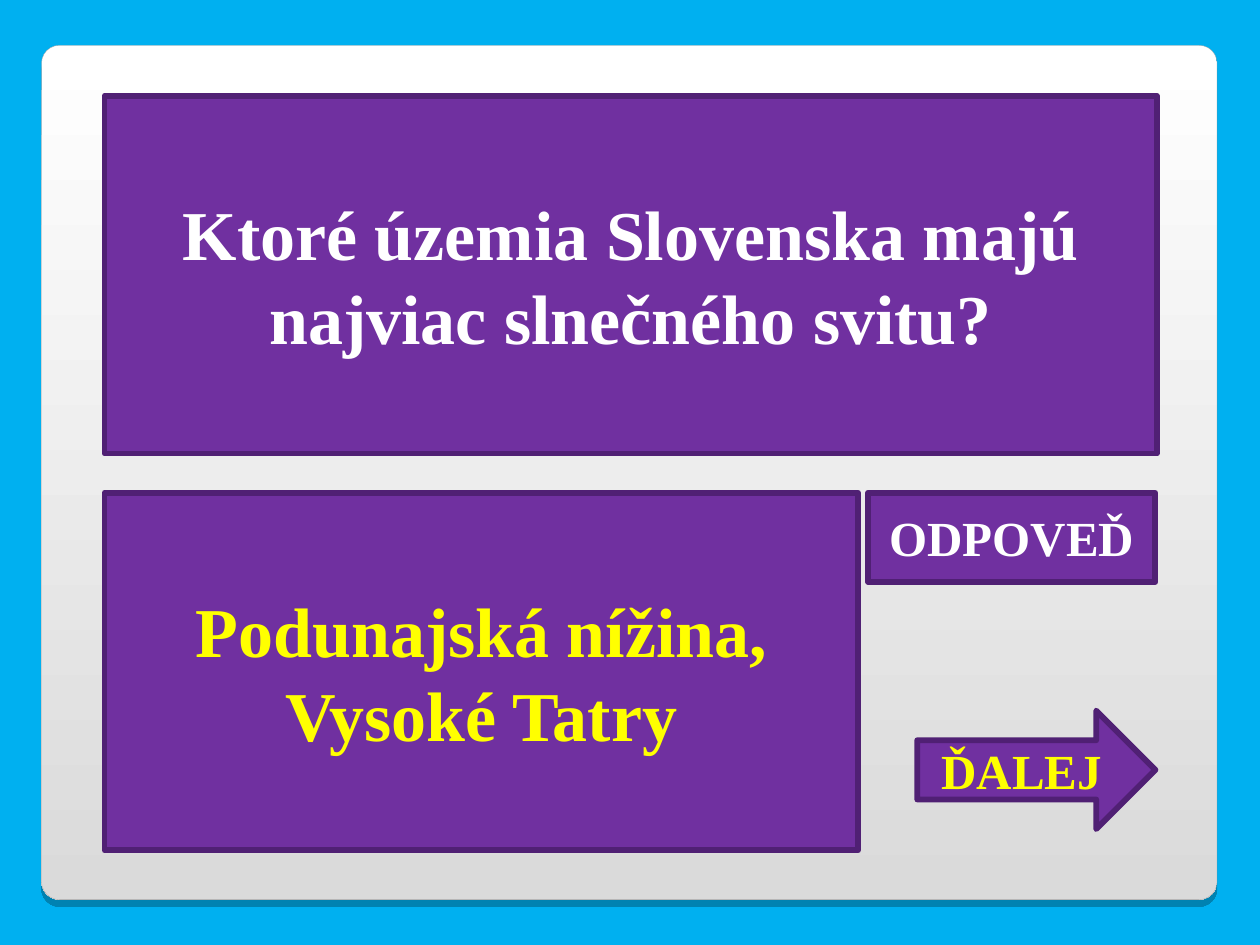
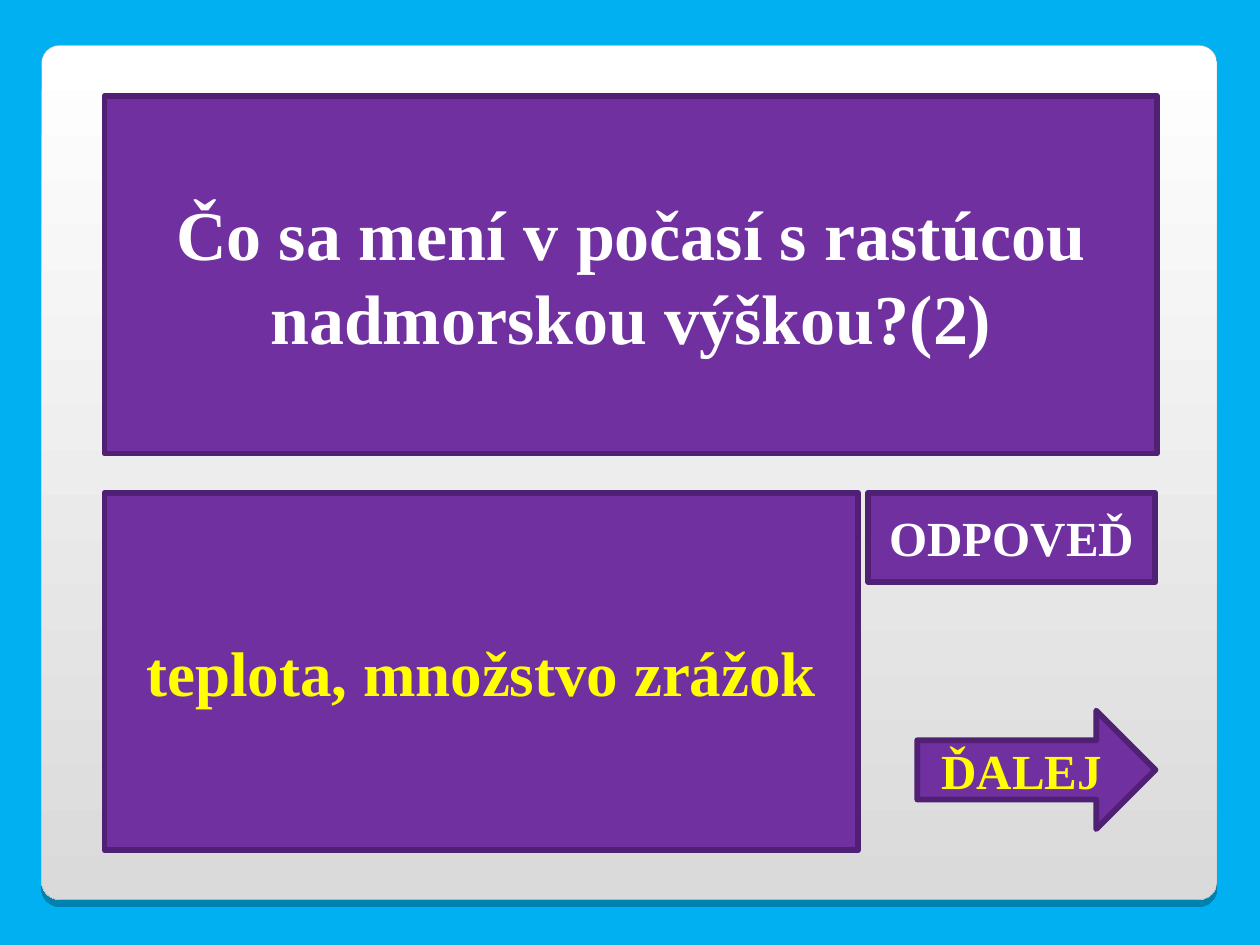
from dataclasses import dataclass

import pptx
import pptx.dml.color
import pptx.enum.shapes
import pptx.enum.text
import pptx.oxml
import pptx.oxml.ns
import pptx.presentation
import pptx.shapes.autoshape
import pptx.slide
import pptx.util

Inches = pptx.util.Inches
Pt = pptx.util.Pt
RGBColor = pptx.dml.color.RGBColor
ShapeType = pptx.enum.shapes.MSO_SHAPE


@dataclass(frozen=True)
class Theme:
    background: RGBColor = RGBColor.from_string("00B0F0")
    panel_top: RGBColor = RGBColor.from_string("FFFFFF")
    panel_bottom: RGBColor = RGBColor.from_string("DADADA")
    panel_line: RGBColor = RGBColor.from_string("A4A3A3")
    box: RGBColor = RGBColor.from_string("7030A0")
    box_line: RGBColor = RGBColor.from_string("502074")
    white: RGBColor = RGBColor.from_string("FFFFFF")
    yellow: RGBColor = RGBColor.from_string("FFFF00")
    font: str = "Times New Roman"
    large: int = 40
    medium: int = 36
    label: int = 28
    box_line_width: float = 3.34
    panel_line_width: float = 0.17


THEME = Theme()


@dataclass(frozen=True)
class Frame:
    left: float
    top: float
    width: float
    height: float

    def lengths(self) -> tuple[int, int, int, int]:
        return (Inches(self.left), Inches(self.top),
                Inches(self.width), Inches(self.height))


@dataclass(frozen=True)
class Button:
    text: str
    frame: Frame
    kind: ShapeType
    color: RGBColor


@dataclass(frozen=True)
class QuizCard:
    question: str
    answer: str
    answer_size: int = THEME.large


PANEL = Frame(0.33, 0.36, 9.33, 6.78)
QUESTION = Frame(0.83, 0.76, 8.35, 2.84)
ANSWER = Frame(0.83, 3.91, 5.98, 2.84)
BUTTONS = [
    Button("ODPOVEĎ", Frame(6.89, 3.91, 2.28, 0.71),
           ShapeType.RECTANGLE, THEME.white),
    Button("ĎALEJ", Frame(7.28, 5.64, 1.89, 0.94),
           ShapeType.RIGHT_ARROW, THEME.yellow),
]
CARDS = [
    QuizCard("Ktoré územia Slovenska majú najviac slnečného svitu?",
             "Podunajská nížina, Vysoké Tatry"),
    QuizCard("Čo sa mení v počasí s rastúcou nadmorskou výškou?(2)",
             "teplota, množstvo zrážok", THEME.medium),
]
PANEL_SHADOW = (
    f'<a:effectLst {pptx.oxml.ns.nsdecls("a")}>'
    f'<a:outerShdw blurRad="0" dist="{Pt(4)}" dir="5400000" rotWithShape="0">'
    '<a:srgbClr val="000000"><a:alpha val="25000"/></a:srgbClr>'
    '</a:outerShdw></a:effectLst>'
)


def style_box(shape: pptx.shapes.autoshape.Shape, text: str,
              size: int, color: RGBColor) -> None:
    shape.fill.solid()
    shape.fill.fore_color.rgb = THEME.box
    shape.line.color.rgb = THEME.box_line
    shape.line.width = Pt(THEME.box_line_width)
    text_frame = shape.text_frame
    text_frame.text = text
    text_frame.word_wrap = True
    text_frame.auto_size = pptx.enum.text.MSO_AUTO_SIZE.NONE
    text_frame.vertical_anchor = pptx.enum.text.MSO_ANCHOR.MIDDLE
    paragraph = text_frame.paragraphs[0]
    paragraph.alignment = pptx.enum.text.PP_ALIGN.CENTER
    paragraph.font.name = THEME.font
    paragraph.font.size = Pt(size)
    paragraph.font.bold = True
    paragraph.font.color.rgb = color


def add_box(slide: pptx.slide.Slide, kind: ShapeType, frame: Frame,
            text: str, size: int, color: RGBColor) -> None:
    shape = slide.shapes.add_shape(kind, *frame.lengths())
    shape.shadow.inherit = False
    style_box(shape, text, size, color)


def add_layout_panel(presentation: pptx.presentation.Presentation,
                     layout: pptx.slide.SlideLayout) -> None:
    """Draw the panel on the first slide, then move it behind the layout."""
    panel = presentation.slides[0].shapes.add_shape(
        ShapeType.ROUNDED_RECTANGLE, *PANEL.lengths())
    panel.adjustments[0] = 0.021
    panel.fill.gradient()
    panel.fill.gradient_angle = 270
    colors = (THEME.panel_top, THEME.panel_bottom)
    for position, (stop, color) in enumerate(zip(panel.fill.gradient_stops, colors)):
        stop.position = position
        stop.color.rgb = color
    panel.line.color.rgb = THEME.panel_line
    panel.line.width = Pt(THEME.panel_line_width)
    panel.element.spPr.append(pptx.oxml.parse_xml(PANEL_SHADOW))
    layout.shapes.element.insert(2, panel.element)


def add_card(presentation: pptx.presentation.Presentation,
             layout: pptx.slide.SlideLayout, card: QuizCard) -> None:
    slide = presentation.slides.add_slide(layout)
    title = slide.shapes.title
    title.left, title.top, title.width, title.height = QUESTION.lengths()
    style_box(title, card.question, THEME.large, THEME.white)
    add_box(slide, ShapeType.RECTANGLE, ANSWER,
            card.answer, card.answer_size, THEME.yellow)
    for button in BUTTONS:
        add_box(slide, button.kind, button.frame,
                button.text, THEME.label, button.color)


def main() -> None:
    presentation = pptx.Presentation()
    presentation.slide_width = Inches(10)
    presentation.slide_height = Inches(7.5)
    background = presentation.slide_master.background.fill
    background.solid()
    background.fore_color.rgb = THEME.background
    layout = presentation.slide_layouts.get_by_name("Title Only")
    for card in CARDS:
        add_card(presentation, layout, card)
    add_layout_panel(presentation, layout)
    presentation.save("out.pptx")


if __name__ == "__main__":
    main()
